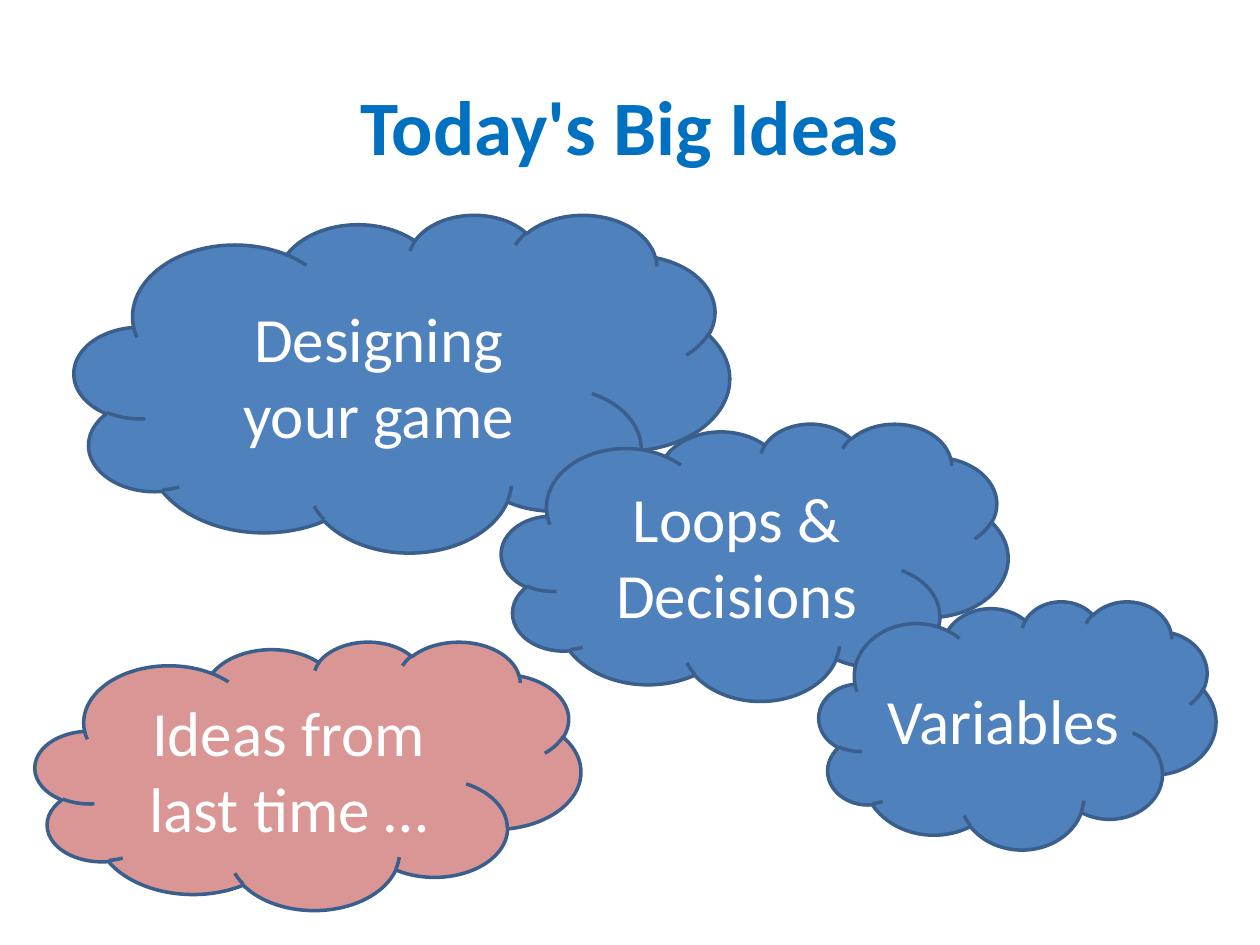
from pptx import Presentation
from pptx.dml.color import RGBColor
from pptx.enum.shapes import MSO_SHAPE
from pptx.enum.text import MSO_ANCHOR, PP_ALIGN
from pptx.util import Inches, Pt

COLORS = {"title": "0070C0", "blue": "4F81BD", "pink": "D99694",
          "edge": "3A5F8C", "white": "FFFFFF"}


def color(name):
    return RGBColor.from_string(COLORS[name])


def write(shape, paras, size, tint, bold=False):
    """Fill a shape with centred paragraphs, each a list of lines."""
    frame = shape.text_frame
    frame.word_wrap = True
    frame.vertical_anchor = MSO_ANCHOR.MIDDLE
    for i, lines in enumerate(paras):
        para = frame.add_paragraph() if i else frame.paragraphs[0]
        para.alignment = PP_ALIGN.CENTER
        for j, line in enumerate(lines):
            if j:
                para.add_line_break()
            run = para.add_run()
            run.text = line
            run.font.name = "Calibri"
            run.font.size = Pt(size)
            run.font.bold = bold
            run.font.color.rgb = color(tint)


deck = Presentation()
deck.slide_width, deck.slide_height = Inches(10), Inches(7.5)
slide = deck.slides.add_slide(deck.slide_layouts[6])

# Title
title = slide.shapes.add_textbox(Inches(0.5), Inches(0.21), Inches(9), Inches(1.56))
write(title, [["Today's Big Ideas"]], 44, "title", True)

# Idea clouds, back to front: left, top, width, height, fill, paragraphs
clouds = [
    (0.59, 1.7, 5.2, 2.68, "blue", [["Designing", "your game"]]),
    (3.98, 3.36, 4.02, 2.2, "blue", [["Loops &"], ["Decisions"]]),
    (6.5, 4.77, 3.15, 1.97, "blue", [["Variables"]]),
    (0.28, 5.09, 4.33, 2.13, "pink", [["Ideas from last time …"]]),
]
for *box, fill, paras in clouds:
    cloud = slide.shapes.add_shape(MSO_SHAPE.CLOUD, *map(Inches, box))
    cloud.shadow.inherit = False
    cloud.fill.solid()
    cloud.fill.fore_color.rgb = color(fill)
    cloud.line.color.rgb = color("edge")
    cloud.line.width = Pt(2)
    write(cloud, paras, 36, "white")

deck.save("out.pptx")
